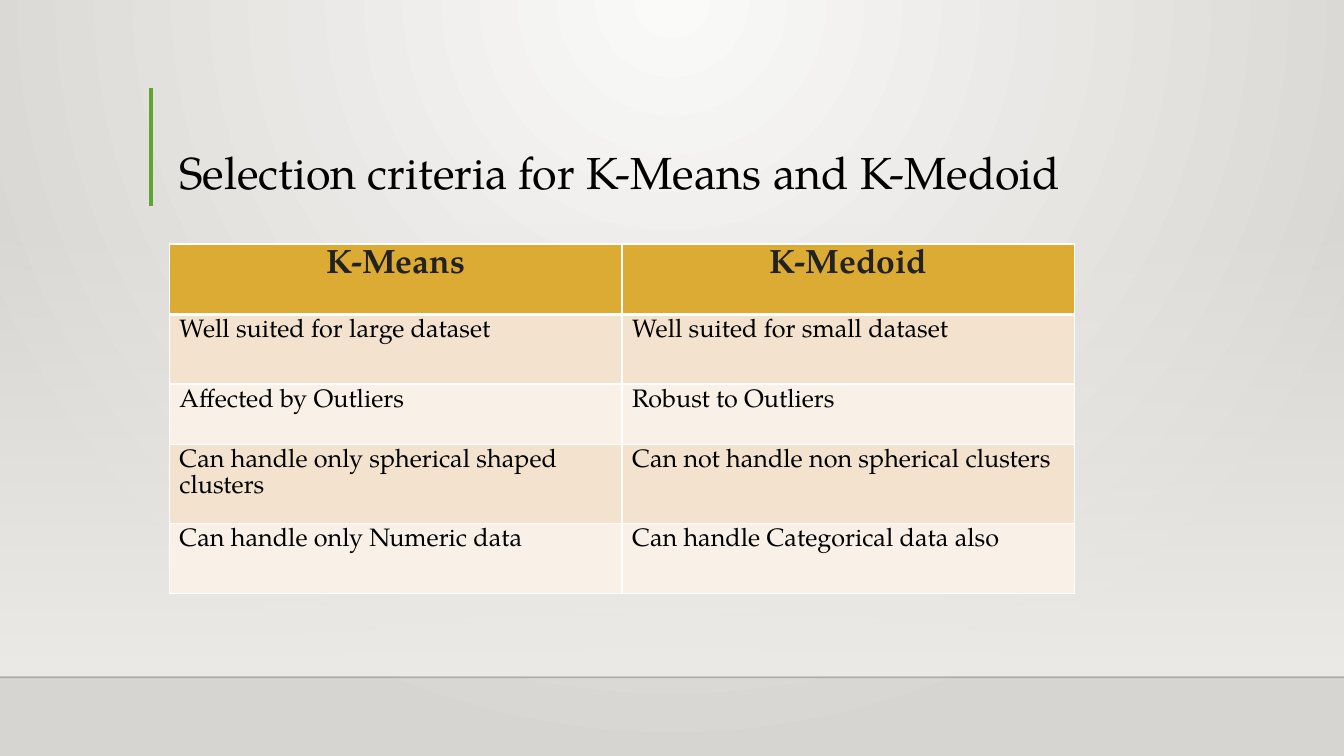
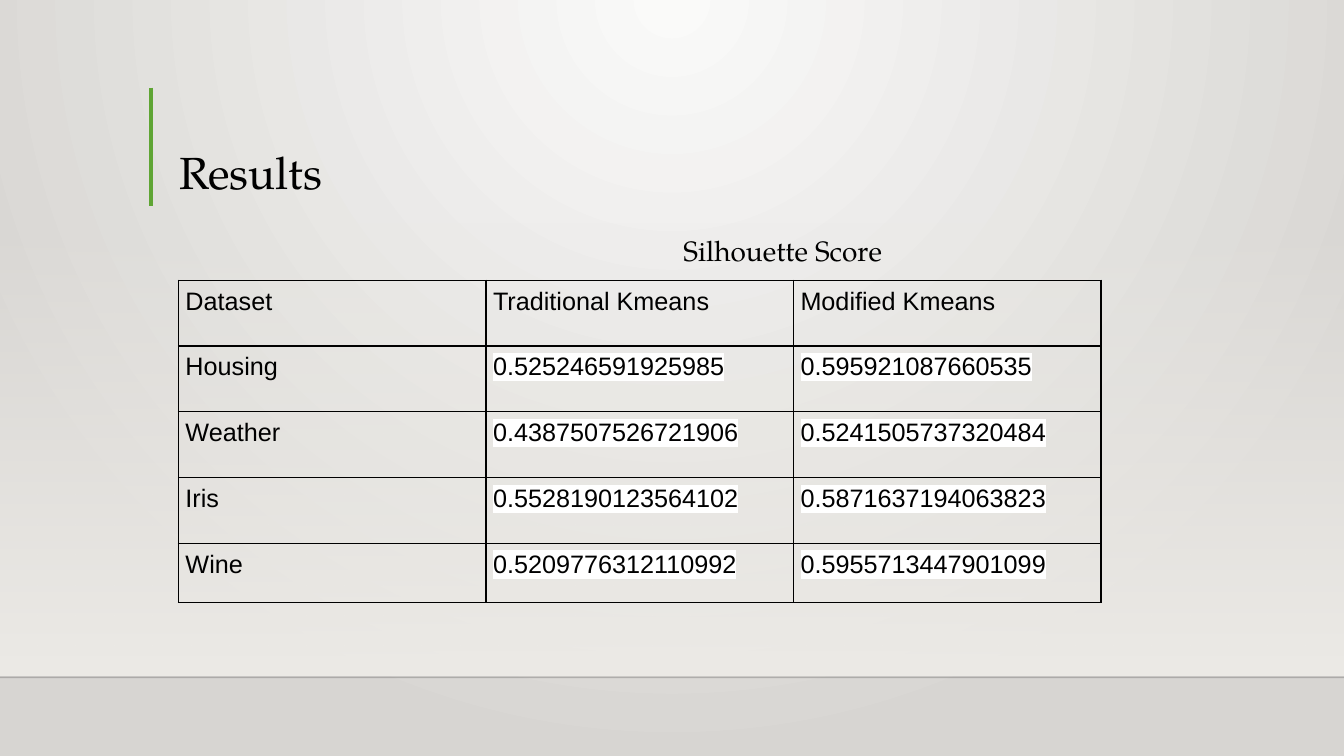
from lxml import etree
from pptx import Presentation
from pptx.dml.color import RGBColor
from pptx.enum.shapes import MSO_CONNECTOR, MSO_SHAPE
from pptx.enum.text import MSO_ANCHOR, PP_ALIGN
from pptx.oxml import parse_xml
from pptx.oxml.ns import nsdecls, qn
from pptx.util import Inches, Pt

LINE, RECT = MSO_CONNECTOR.STRAIGHT, MSO_SHAPE.RECTANGLE
TOP, BOTTOM = MSO_ANCHOR.TOP, MSO_ANCHOR.BOTTOM
LEFT, CENTER = PP_ALIGN.LEFT, PP_ALIGN.CENTER

BLACK = RGBColor(0x00, 0x00, 0x00)
WHITE = RGBColor(0xFF, 0xFF, 0xFF)
INK = RGBColor(0x22, 0x22, 0x22)
GREEN = RGBColor(0x5F, 0xA5, 0x34)
GOLD = RGBColor(0xDC, 0xAB, 0x34)
SAND = RGBColor(0xF2, 0xE2, 0xCE)
CREAM = RGBColor(0xF9, 0xF1, 0xE8)
PALE = RGBColor(0xFA, 0xFA, 0xF9)
GREY = RGBColor(0xD7, 0xD5, 0xD2)
HAZE = RGBColor(0xED, 0xEB, 0xE7)

SERIF, SANS = "TeX Gyre Pagella", "Arial"
WIDE, HIGH = 13.33, 7.5

CRITERIA = [
    ("K-Means", "K-Medoid"),
    ("Well suited for large dataset", "Well suited for small dataset"),
    ("Affected by Outliers", "Robust to Outliers"),
    ("Can handle only spherical shaped clusters",
     "Can not handle non spherical clusters"),
    ("Can handle only Numeric data", "Can handle Categorical data also"),
]
SCORES = [
    ("Dataset", "Traditional Kmeans", "Modified Kmeans"),
    ("Housing", "0.525246591925985", "0.595921087660535"),
    ("Weather", "0.4387507526721906", "0.5241505737320484"),
    ("Iris", "0.5528190123564102", "0.5871637194063823"),
]
WINE = [("Wine", "0.5209776312110992", "0.5955713447901099")]


# Fills, lines and text
def set_grad(props, first, last, shade, alpha=100):
    """Put a two-stop gradient in place of the fill that props holds."""
    old = props.find(qn("a:solidFill"))
    new = parse_xml(
        f'<a:gradFill rotWithShape="1" {nsdecls("a")}><a:gsLst>'
        f'<a:gs pos="0"><a:srgbClr val="{first}">'
        f'<a:alpha val="{alpha * 1000}"/></a:srgbClr></a:gs>'
        f'<a:gs pos="100000"><a:srgbClr val="{last}"/></a:gs>'
        f'</a:gsLst>{shade}</a:gradFill>')
    props.replace(old, new)


def add_line(slide, x1, y1, x2, y2, color, width, alpha=100):
    line = slide.shapes.add_connector(
        LINE, Inches(x1), Inches(y1), Inches(x2), Inches(y2))
    line.line.color.rgb = color
    line.line.width = Pt(width)
    props = line._element.spPr
    if alpha < 100:
        tint = props.find(".//" + qn("a:srgbClr"))
        etree.SubElement(tint, qn("a:alpha"), val=str(alpha * 1000))
    etree.SubElement(props, qn("a:effectLst"))


def set_text(frame, text, size, font=SERIF, color=BLACK, bold=False,
             align=LEFT):
    frame.text = text
    frame.word_wrap = True
    para = frame.paragraphs[0]
    para.alignment = align
    run = para.runs[0]
    run.font.size = Pt(size)
    run.font.name = font
    run.font.bold = bold
    run.font.color.rgb = color
    return para


def add_text(slide, box, text, size, anchor=TOP, inset=0.05):
    shape = slide.shapes.add_textbox(*map(Inches, box))
    shape.text_frame.vertical_anchor = anchor
    shape.text_frame.margin_top = Inches(inset)
    return set_text(shape.text_frame, text, size)


def mark(para, color):
    """Highlight the paragraph's text."""
    latin = para._p.find(".//" + qn("a:latin"))
    latin.addprevious(parse_xml(
        f'<a:highlight {nsdecls("a")}><a:srgbClr val="{color}"/>'
        '</a:highlight>'))


# Tables
def set_edges(cell, color, top=1, bottom=1):
    props = cell._tc.get_or_add_tcPr()
    for side, width in zip("LRTB", (1, 1, top, bottom)):
        props.append(parse_xml(
            f'<a:ln{side} w="{Pt(width)}" {nsdecls("a")}><a:solidFill>'
            f'<a:srgbClr val="{color}"/></a:solidFill></a:ln{side}>'))


def add_grid(slide, left, top, wide, rows, heights):
    """Add a plain table with equal columns and return it."""
    count = len(rows[0])
    table = slide.shapes.add_table(
        len(rows), count, Inches(left), Inches(top),
        Inches(wide), Inches(sum(heights))).table
    table.first_row = table.horz_banding = False
    for col in table.columns:
        col.width = Inches(wide / count)
    for row, high in zip(table.rows, heights):
        row.height = Inches(high)
    return table


def criteria_table(slide, left, top, wide):
    table = add_grid(slide, left, top, wide, CRITERIA,
                     [0.7, 0.69, 0.6, 0.78, 0.7])
    for r, row in enumerate(CRITERIA):
        for c, text in enumerate(row):
            cell = table.cell(r, c)
            # A thick rule parts the heading from the rows
            set_edges(cell, WHITE, 3 if r == 1 else 1, 3 if r == 0 else 1)
            cell.fill.solid()
            if r == 0:
                cell.fill.fore_color.rgb = GOLD
                set_text(cell.text_frame, text, 24, color=INK, bold=True,
                         align=CENTER)
            else:
                cell.fill.fore_color.rgb = SAND if r % 2 else CREAM
                set_text(cell.text_frame, text, 18)


def score_table(slide, left, top, wide, high, rows):
    table = add_grid(slide, left, top, wide, rows,
                     [high / len(rows)] * len(rows))
    for r, row in enumerate(rows):
        for c, text in enumerate(row):
            cell = table.cell(r, c)
            cell.margin_left = cell.margin_right = Inches(0.07)
            cell.margin_top = cell.margin_bottom = Inches(0.07)
            set_edges(cell, BLACK)
            cell.fill.background()
            para = set_text(cell.text_frame, text, 18, SANS)
            if text.startswith("0."):
                mark(para, WHITE)


# Shared look
def set_back(master):
    fill = master.background.fill
    fill.solid()
    fill.fore_color.rgb = GREY
    props = master._element.find(".//" + qn("p:bgPr"))
    set_grad(props, PALE, GREY,
             '<a:path path="circle"><a:fillToRect l="43000" t="0" '
             'r="43000" b="100000"/></a:path>')


def add_base(deck, title):
    slide = deck.slides.add_slide(deck.slide_layouts[6])
    # Haze that thickens down to the floor line
    haze = slide.shapes.add_shape(
        RECT, Inches(0), Inches(2.2), Inches(WIDE), Inches(4.5))
    haze.shadow.inherit = False
    haze.line.fill.background()
    haze.fill.solid()
    haze.fill.fore_color.rgb = HAZE
    set_grad(haze._element.spPr, HAZE, HAZE,
             '<a:lin ang="5400000" scaled="0"/>', 0)
    add_line(slide, 0, 6.72, WIDE, 6.72, BLACK, 1, 20)
    # Title with its green bar
    add_line(slide, 1.5, 0.87, 1.5, 2.04, GREEN, 3)
    para = add_text(slide, (1.68, 0.88, 10.41, 1.15), title, 32, BOTTOM)
    para.line_spacing = 0.9
    return slide


# Slides
def criteria_slide(deck):
    slide = add_base(deck, "Selection criteria for K-Means and K-Medoid")
    criteria_table(slide, 1.68, 2.42, 8.98)


def result_slide(deck):
    slide = add_base(deck, "Results")
    # Caption indented to sit over the score columns
    para = add_text(slide, (1.68, 2.2, 10.41, 3.77), "Silhouette Score", 20,
                    inset=0.12)
    para._p.get_or_add_pPr().set("marL", str(Inches(5)))
    score_table(slide, 1.77, 2.78, 9.15, 2.61, SCORES)
    score_table(slide, 1.77, 5.39, 9.15, 0.59, WINE)


def main():
    deck = Presentation()
    deck.slide_width, deck.slide_height = Inches(WIDE), Inches(HIGH)
    set_back(deck.slide_master)
    criteria_slide(deck)
    result_slide(deck)
    deck.save("out.pptx")


if __name__ == "__main__":
    main()
